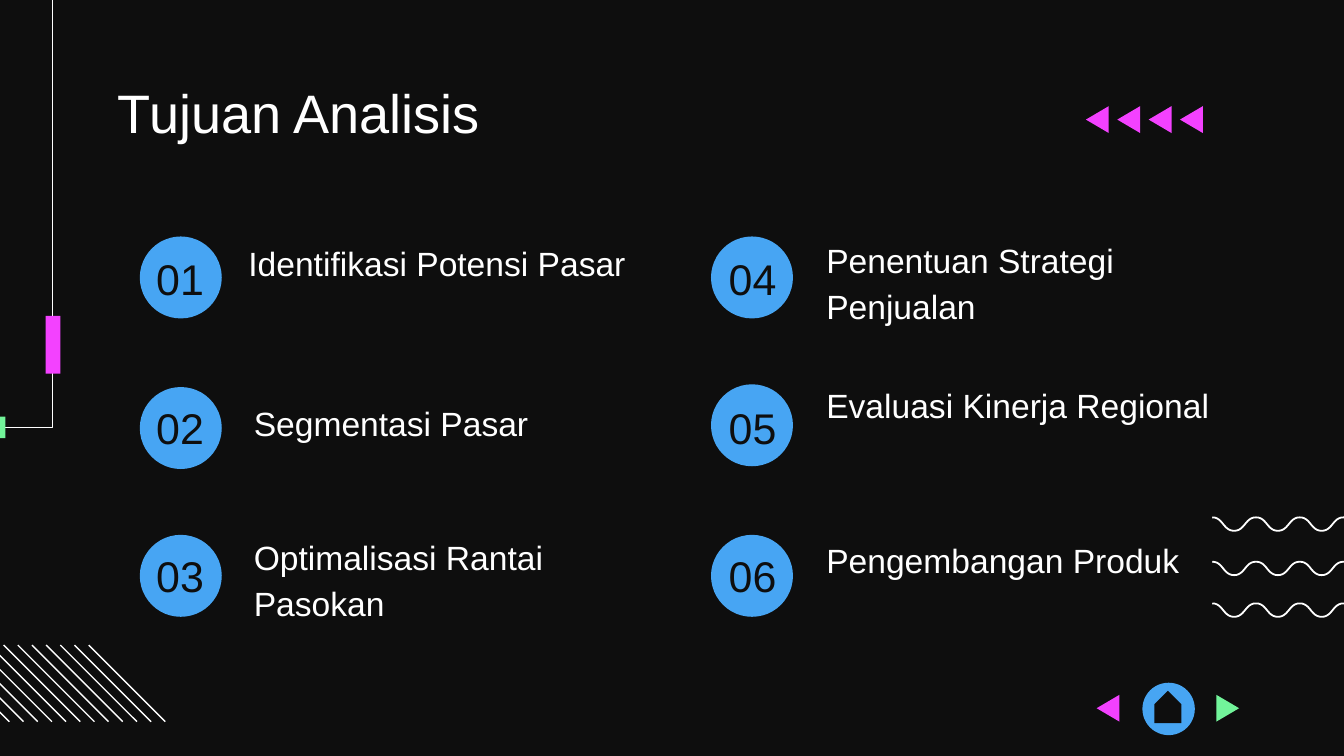
from dataclasses import dataclass

from lxml import etree
from pptx import Presentation
from pptx.dml.color import RGBColor
from pptx.enum.shapes import MSO_CONNECTOR, MSO_SHAPE
from pptx.enum.text import MSO_ANCHOR, PP_ALIGN
from pptx.oxml.ns import qn
from pptx.util import Inches, Pt

OVAL = MSO_SHAPE.OVAL
RECTANGLE = MSO_SHAPE.RECTANGLE
HOUSE = MSO_SHAPE.PENTAGON
STRAIGHT = MSO_CONNECTOR.STRAIGHT
TOP = MSO_ANCHOR.TOP
LEFT = PP_ALIGN.LEFT
CENTER = PP_ALIGN.CENTER


@dataclass(frozen=True)
class Theme:
    dark: RGBColor = RGBColor(0x0E, 0x0E, 0x0E)
    white: RGBColor = RGBColor(0xFF, 0xFF, 0xFF)
    blue: RGBColor = RGBColor(0x47, 0xA5, 0xF3)
    pink: RGBColor = RGBColor(0xF3, 0x41, 0xFF)
    green: RGBColor = RGBColor(0x72, 0xF4, 0x9A)
    font: str = "Arial"
    title_size: float = 29
    number_size: float = 23
    goal_size: float = 18
    thin: float = 0.75
    wave: float = 0.95


THEME = Theme()

GOALS = [
    ("01", "Identifikasi Potensi Pasar", 1.04, 1.76, 1.75, 1.76),
    ("02", "Segmentasi Pasar", 1.04, 2.88, 1.79, 2.95),
    ("03", "Optimalisasi Rantai Pasokan", 1.04, 3.98, 1.79, 3.95),
    ("04", "Penentuan Strategi Penjualan", 5.29, 1.76, 6.05, 1.74),
    ("05", "Evaluasi Kinerja Regional", 5.29, 2.86, 6.05, 2.82),
    ("06", "Pengembangan Produk", 5.29, 3.98, 6.05, 3.97),
]
NUMBER_TOPS = {"01": 1.68, "02": 2.79, "03": 3.89, "04": 1.68, "05": 2.79, "06": 3.89}


def paint(shape, color):
    shape.shadow.inherit = False
    shape.fill.solid()
    shape.fill.fore_color.rgb = color
    shape.line.fill.background()


def add_block(page, kind, left, top, width, height, color):
    block = page.shapes.add_shape(
        kind, Inches(left), Inches(top), Inches(width), Inches(height))
    paint(block, color)
    return block


def add_outline(page, points, closed):
    start, *rest = [(Inches(x), Inches(y)) for x, y in points]
    builder = page.shapes.build_freeform(*start)
    builder.add_line_segments(rest, close=closed)
    return builder.convert_to_shape()


def add_path(page, points, weight):
    path = add_outline(page, points, False)
    path.shadow.inherit = False
    path.fill.background()
    path.line.color.rgb = THEME.white
    path.line.width = Pt(weight)


def add_triangle(page, base, tip, top, color):
    points = [(base, top), (tip, top + 0.1), (base, top + 0.2)]
    paint(add_outline(page, points, True), color)


def add_wave(page, left, top, half=1.14 / 7, depth=0.1, count=7, steps=12):
    points = [(left, top)]
    for index in range(count):
        for step in range(1, steps + 1):
            t = step / steps
            rise = 3 * t**2 - 2 * t**3
            across = 1.5 * t * (1 - t) + t**3
            drop = rise if index % 2 == 0 else 1 - rise
            points.append((left + half * (index + across), top + depth * drop))
    add_path(page, points, THEME.wave)


def add_stripe(page, left, top, size):
    stripe = page.shapes.add_connector(
        STRAIGHT, Inches(left), Inches(top), Inches(left + size), Inches(top + size))
    stripe.line.color.rgb = THEME.white
    stripe.line.width = Pt(THEME.thin)
    etree.SubElement(stripe._element.spPr, qn("a:effectLst"))


def add_text(page, text, bounds, size, color, inset, **paragraph_format):
    box = page.shapes.add_textbox(*[Inches(length) for length in bounds])
    frame = box.text_frame
    frame_format = {
        "word_wrap": True, "vertical_anchor": TOP,
        "margin_left": Inches(0.1), "margin_right": Inches(0.1),
        "margin_top": Inches(inset), "margin_bottom": Inches(0.1),
    }
    for name, value in frame_format.items():
        setattr(frame, name, value)
    para = frame.paragraphs[0]
    for name, value in paragraph_format.items():
        setattr(para, name, value)
    span = para.add_run()
    span.text = text
    for name, value in {"name": THEME.font, "size": Pt(size)}.items():
        setattr(span.font, name, value)
    span.font.color.rgb = color


def add_goal(page, number, label, circle_left, circle_top, label_left, label_top):
    label_width = 2.9 if number == "06" else 3.16
    number_left = 0.89 if circle_left < 5 else 5.15
    add_block(page, OVAL, circle_left, circle_top, 0.61, 0.61, THEME.blue)
    add_text(page, number, (number_left, NUMBER_TOPS[number], 0.9, 0.61),
             THEME.number_size, THEME.dark, 0.2, alignment=CENTER)
    add_text(page, label, (label_left, label_top, label_width, 0.39),
             THEME.goal_size, THEME.white, 0,
             alignment=LEFT, line_spacing=1.15, space_after=Pt(12))


def add_decoration(page):
    for top in (3.85, 4.18, 4.49):
        add_wave(page, 9.02, top)
    for index in range(12):
        add_stripe(page, -0.5 + 1.16 / 11 * index, 4.8, 0.57)
    add_path(page, [(-3.93, 3.18), (0.39, 3.18), (0.39, -0.22)], THEME.thin)
    add_block(page, RECTANGLE, -0.12, 3.1, 0.16, 0.16, THEME.green)
    add_block(page, RECTANGLE, 0.34, 2.35, 0.11, 0.43, THEME.pink)
    for index in range(4):
        tip = 8.08 + 0.7 / 3 * index
        add_triangle(page, tip + 0.17, tip, 0.79, THEME.pink)


def add_navigation(page):
    add_block(page, OVAL, 8.5, 5.08, 0.39, 0.39, THEME.blue)
    house = add_block(page, HOUSE, 8.57, 5.16, 0.24, 0.2, THEME.dark)
    house.rotation = 270
    add_triangle(page, 8.33, 8.16, 5.17, THEME.pink)
    add_triangle(page, 9.05, 9.22, 5.17, THEME.green)


def main():
    deck = Presentation()
    deck.slide_width = Inches(10)
    deck.slide_height = Inches(10) * 9 // 16
    page = deck.slides.add_slide(deck.slide_layouts[6])
    page.background.fill.solid()
    page.background.fill.fore_color.rgb = THEME.dark
    add_decoration(page)
    add_text(page, "Tujuan Analisis", (0.78, 0.59, 8.44, 0.46),
             THEME.title_size, THEME.white, 0, alignment=LEFT)
    for goal in GOALS:
        add_goal(page, *goal)
    add_navigation(page)
    deck.save("out.pptx")


if __name__ == "__main__":
    main()
